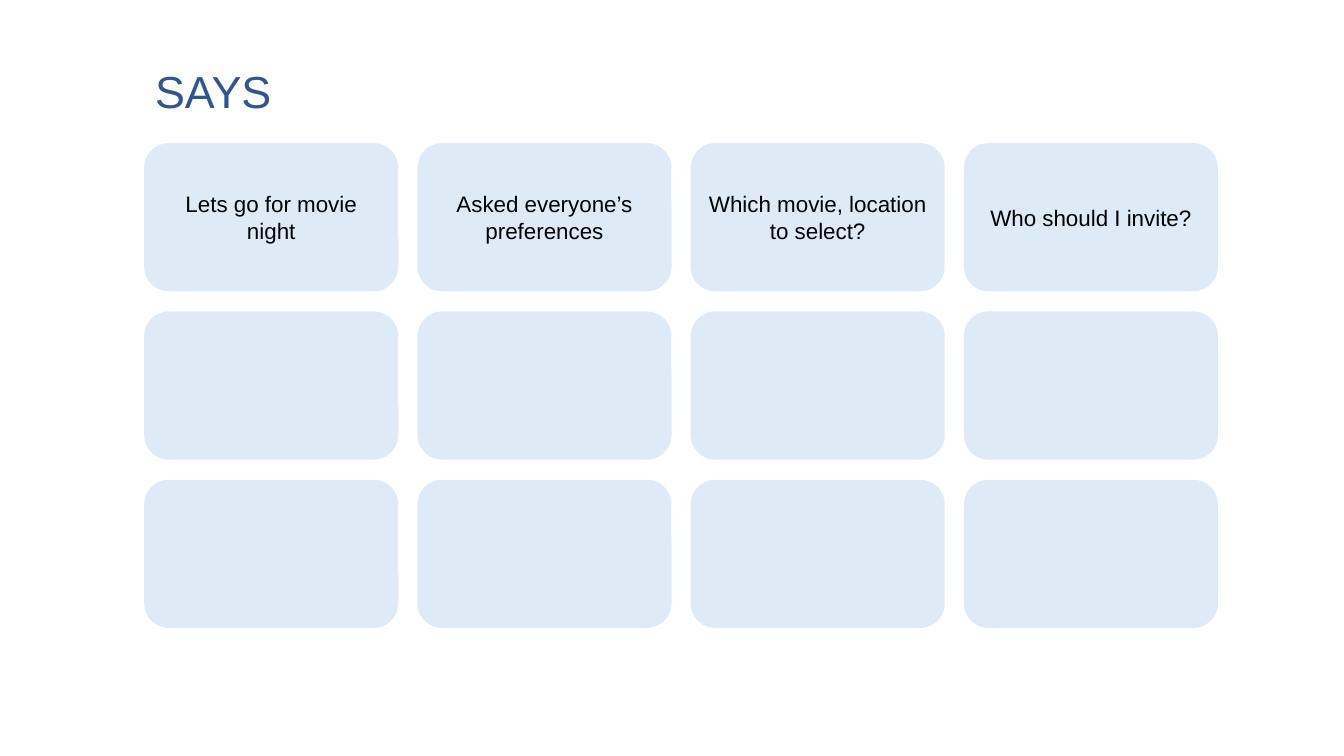
import pptx
import pptx.dml.color
import pptx.enum.shapes
import pptx.enum.text
import pptx.util
from dataclasses import dataclass

Inches = pptx.util.Inches
ALIGN = pptx.enum.text.PP_ALIGN
ANCHOR = pptx.enum.text.MSO_ANCHOR


@dataclass(frozen=True)
class Theme:
    font: str = "Arial"
    title: str = "2F5597"
    text: str = "000000"
    card: str = "DEEBF7"
    big: int = 32
    small: int = 16


THEME = Theme()

# Card grid
LEFT, TOP = 1.43, 1.42
WIDTH, HEIGHT = 2.52, 1.47
STEP_X, STEP_Y = 2.71, 1.67
ROWS, COLS = 3, 4

# Quotes fill the first row, one paragraph per line
QUOTES = [
    ["Lets go for movie", "night"],
    ["Asked everyone’s", "preferences"],
    ["Which movie, location", "to select?"],
    ["Who should I invite?"],
]


def color(code):
    return pptx.dml.color.RGBColor.from_string(code)


def write(frame, lines, size, shade):
    """Fill a text frame with centred lines."""
    frame.vertical_anchor = ANCHOR.MIDDLE
    for i, line in enumerate(lines):
        para = frame.add_paragraph() if i else frame.paragraphs[0]
        para.alignment = ALIGN.CENTER
        run = para.add_run()
        run.text = line
        run.font.name = THEME.font
        run.font.size = pptx.util.Pt(size)
        run.font.color.rgb = color(shade)


def add_title(slide, text):
    title = slide.shapes.title
    title.left, title.top = Inches(LEFT), Inches(0.58)
    title.width, title.height = Inches(1.37), Inches(0.64)
    frame = title.text_frame
    frame.word_wrap = False
    frame.auto_size = pptx.enum.text.MSO_AUTO_SIZE.NONE
    write(frame, [text], THEME.big, THEME.title)


def add_card(slide, row, col, lines):
    card = slide.shapes.add_shape(
        pptx.enum.shapes.MSO_SHAPE.ROUNDED_RECTANGLE,
        Inches(LEFT + col * STEP_X), Inches(TOP + row * STEP_Y),
        Inches(WIDTH), Inches(HEIGHT))
    card.shadow.inherit = False
    card.fill.solid()
    card.fill.fore_color.rgb = color(THEME.card)
    card.line.fill.background()
    frame = card.text_frame
    frame.margin_left = frame.margin_right = 0
    write(frame, lines, THEME.small, THEME.text)


def main():
    deck = pptx.Presentation()
    deck.slide_width, deck.slide_height = Inches(13.33), Inches(7.5)
    slide = deck.slides.add_slide(deck.slide_layouts[5])

    # Heading
    add_title(slide, "SAYS")

    # Cards, with the lower rows left blank
    for row in range(ROWS):
        for col in range(COLS):
            add_card(slide, row, col, QUOTES[col] if row == 0 else [])

    deck.save("out.pptx")


if __name__ == "__main__":
    main()
